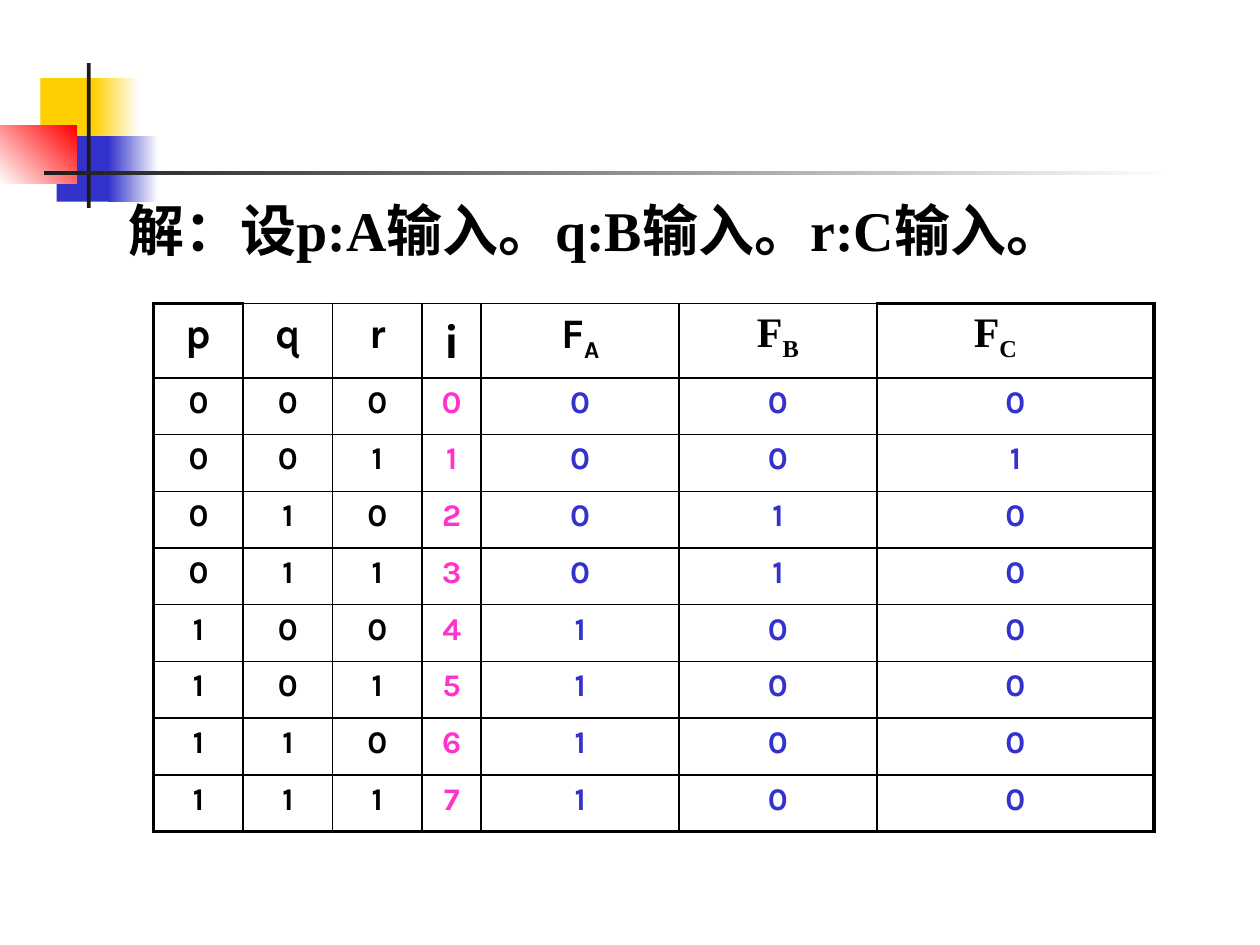
from lxml.etree import SubElement as Sub
from pptx import Presentation
from pptx.dml.color import RGBColor
from pptx.enum.shapes import MSO_SHAPE as Kind
from pptx.enum.text import PP_ALIGN as Align
from pptx.oxml.ns import qn
from pptx.util import Inches, Pt

BLACK, BLUE, PINK, GOLD = "000000", "3333CC", "FF33CC", "FFCF01"
RED, DARK, WHITE = "FF0000", "1C1C1C", "FFFFFF"
KARLA, TIMES, NOTO = "Karla", "Times New Roman", "Noto Sans CJK SC"
COLS = [0.71, 0.71, 0.71, 0.47, 1.57, 1.57, 2.2]
ROWS = [0.59] + [0.45] * 8
HEADS = [("p", "", KARLA), ("q", "", KARLA), ("r", "", KARLA), ("i", "", NOTO),
         ("F", "A", KARLA), ("F", "B", TIMES), ("F", "C", TIMES)]


def tint(color, code):
    """Set a colour from a hex string."""
    color.rgb = RGBColor.from_string(code)


def style(run, size, face, code):
    """Format a bold run."""
    run.font.size, run.font.name, run.font.bold = Pt(size), face, True
    tint(run.font.color, code)


def block(slide, box, first, last=None, angle=0):
    """Add a rectangle with a solid or a two-stop fill."""
    shape = slide.shapes.add_shape(Kind.RECTANGLE, *map(Inches, box))
    shape.shadow.inherit = False
    shape.line.fill.background()
    if last is None:
        shape.fill.solid()
        tint(shape.fill.fore_color, first)
        return
    shape.fill.gradient()
    shape.fill.gradient_angle = angle
    for stop, code in zip(shape.fill.gradient_stops, (first, last)):
        tint(stop.color, code)


def emblem(slide, x, y):
    """Draw the coloured squares and the crossed rules."""
    for dx, dy, wide, fade, lap, code in [(0.32, 0.12, 0.48, 0.36, 0.06, GOLD),
                                          (0.45, 0.58, 0.46, 0.4, 0.05, BLUE)]:
        block(slide, (x + dx, y + dy, wide, 0.52), code)
        block(slide, (x + dx + wide - lap, y + dy, fade, 0.52), code, WHITE)
    block(slide, (x, y + 0.5, 0.61, 0.46), WHITE, RED, 45)
    block(slide, (x + 0.69, y, 0.03, 1.15), DARK)
    block(slide, (x + 0.35, y + 0.86, 9, 0.03), DARK, WHITE)


def title(slide, box, text):
    """Write the line that names the inputs."""
    frame = slide.shapes.add_textbox(*map(Inches, box)).text_frame
    frame.word_wrap = True
    para = frame.paragraphs[0]
    para.text = text
    para.space_before = Pt(6.4)
    style(para.runs[0], 32, TIMES, BLACK)


def edge(cell, side, width):
    """Add one black border to a cell."""
    line = Sub(cell._tc.get_or_add_tcPr(), qn("a:ln" + side), w=str(Pt(width)))
    Sub(Sub(line, qn("a:solidFill")), qn("a:srgbClr"), val=BLACK)


def frame(cell, row, col):
    """Border a cell, heavier on the outside."""
    end = len(COLS) - 1
    heavy = {"L": col == 0, "R": col == end,
             "T": row == 0 and col in (0, end), "B": row == len(ROWS) - 1}
    for side, bold in heavy.items():
        edge(cell, side, 2.25 if bold else 1)
    cell.fill.background()


def write(cell, parts, size, face, code):
    """Write a centred symbol with an optional subscript."""
    para = cell.text_frame.paragraphs[0]
    para.alignment, para.space_before = Align.CENTER, Pt(size * 0.2)
    for text in filter(None, parts):
        run = para.add_run()
        run.text = text
        style(run, size, face, code)
    if parts[1]:
        run.font._element.set("baseline", "-25000")


def truth(slide, x, y):
    """Build the truth table of the three outputs."""
    box = map(Inches, (x, y, sum(COLS), sum(ROWS)))
    table = slide.shapes.add_table(len(ROWS), len(COLS), *box).table
    table.first_row = table.horz_banding = False
    for col, wide in zip(table.columns, COLS):
        col.width = Inches(wide)
    for row, tall in zip(table.rows, ROWS):
        row.height = Inches(tall)
    for col, (base, sub, face) in enumerate(HEADS):
        write(table.cell(0, col), (base, sub), 24, face, BLACK)
    last = table.cell(0, len(COLS) - 1)
    last.text_frame.paragraphs[0].alignment = Align.JUSTIFY
    last.margin_left = Inches(0.77)
    for num in range(8):
        p, q, r = num >> 2, num >> 1 & 1, num & 1
        outs = [p, int(q and not p), int(r and not p and not q)]
        codes = [BLACK] * 3 + [PINK] + [BLUE] * 3
        for col, (val, code) in enumerate(zip([p, q, r, num] + outs, codes)):
            write(table.cell(num + 1, col), (str(val), ""), 18, KARLA, code)
    for row in range(len(ROWS)):
        for col in range(len(COLS)):
            frame(table.cell(row, col), row, col)


deck = Presentation()
deck.slide_width, deck.slide_height = Inches(10), Inches(7.5)
page = deck.slides.add_slide(deck.slide_layouts[6])
emblem(page, 0, 0.5)
title(page, (0.92, 1.5, 8.57, 0.68), "解：设p:A输入。q:B输入。r:C输入。")
truth(page, 1.22, 2.41)
deck.save("out.pptx")
